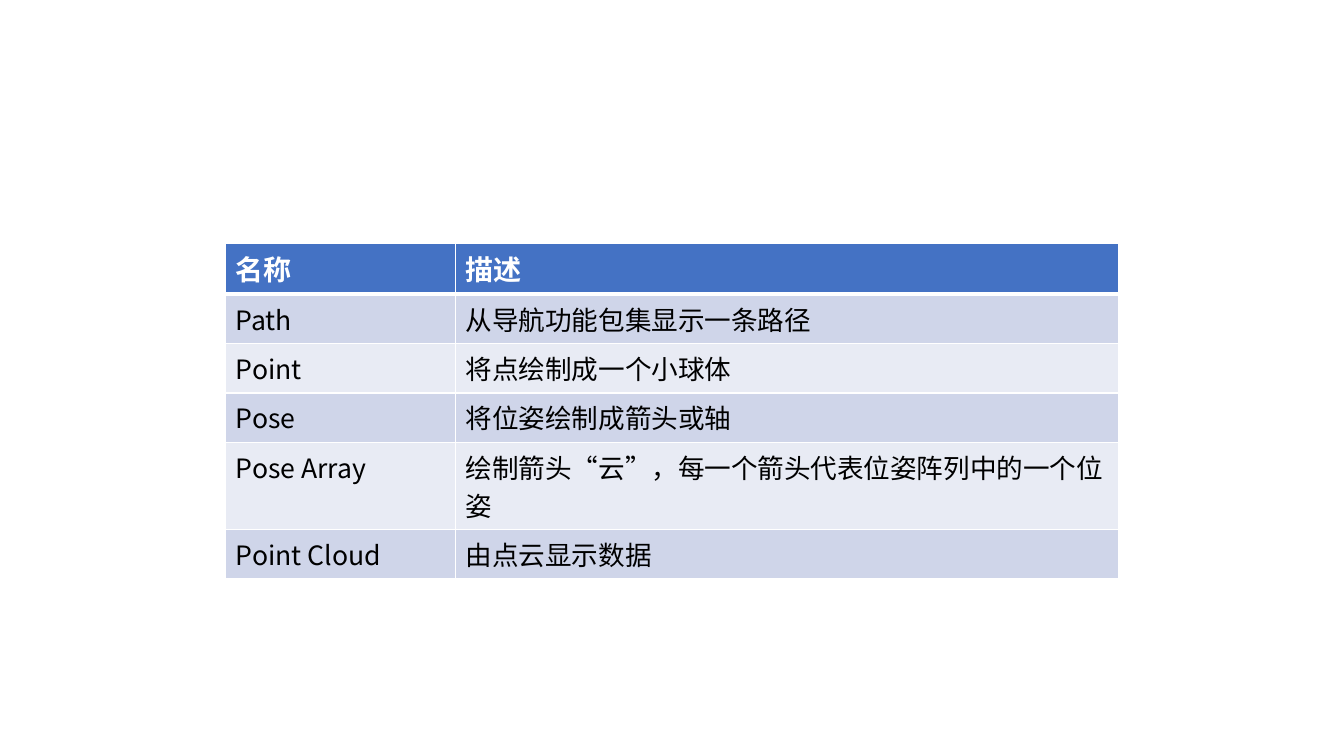
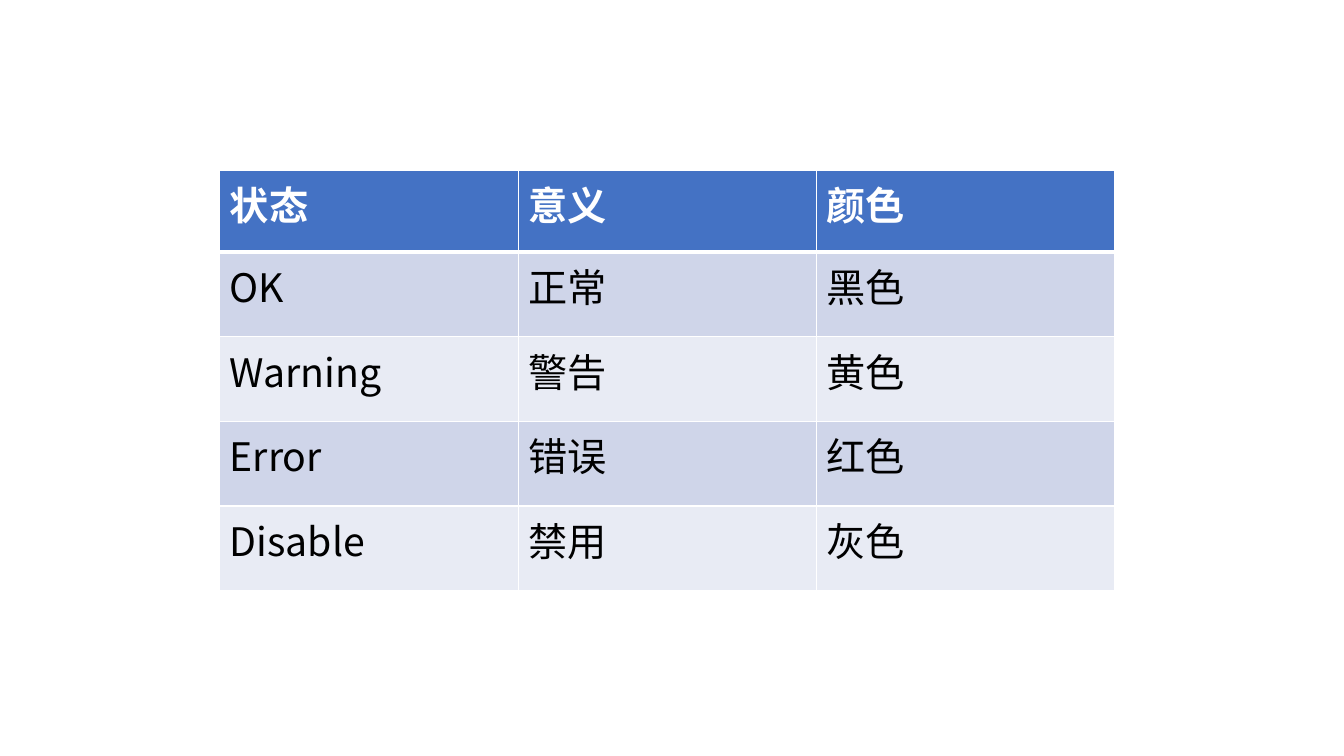
from lxml import etree
from pptx import Presentation
from pptx.dml.color import RGBColor
from pptx.enum.lang import MSO_LANGUAGE_ID
from pptx.oxml.ns import qn
from pptx.util import Inches, Pt

CHINESE = MSO_LANGUAGE_ID.SIMPLIFIED_CHINESE
FONT = "Noto Sans CJK SC"
COLORS = {
    "head": "4472C4",
    "odd": "CFD5E9",
    "even": "E8EBF4",
    "white": "FFFFFF",
    "black": "000000",
}
THIN, THICK = 0.96, 3

TABLES = [
    {
        "left": 2.24,
        "top": 2.41,
        "cols": [2.28, 6.57],
        "heights": [0.51, 0.49, 0.49, 0.49, 0.44, 0.49],
        "sizes": (20, 19),
        "rows": [
            ("名称", "描述"),
            ("Path", "从导航功能包集显示一条路径"),
            ("Point", "将点绘制成一个小球体"),
            ("Pose", "将位姿绘制成箭头或轴"),
            ("Pose Array", "绘制箭头“云”，每一个箭头代表位姿阵列中的一个位姿"),
            ("Point Cloud", "由点云显示数据"),
        ],
    },
    {
        "left": 2.18,
        "top": 1.69,
        "cols": [2.96] * 3,
        "heights": [0.81] + [0.84] * 4,
        "sizes": (28, 28),
        "rows": [
            ("状态", "意义", "颜色"),
            ("OK", "正常", "黑色"),
            ("Warning", "警告", "黄色"),
            ("Error", "错误", "红色"),
            ("Disable", "禁用", "灰色"),
        ],
    },
]


def rgb(name):
    return RGBColor.from_string(COLORS[name])


def write(frame, text, size=19, color="black", bold=False):
    run = frame.paragraphs[0].add_run()
    run.text = text
    font = run.font
    font.size = Pt(size)
    font.bold = bold
    font.name = FONT
    font.language_id = CHINESE
    font.color.rgb = rgb(color)
    latin = font._element.find(qn("a:latin"))
    latin.addnext(etree.Element(qn("a:ea"), typeface=FONT))


def border(cell, **widths):
    props = cell._tc.get_or_add_tcPr()
    for spot, side in enumerate("LRTB"):
        width = str(Pt(widths.get(side, THIN)))
        line = etree.Element(qn("a:ln" + side), w=width)
        fill = etree.SubElement(line, qn("a:solidFill"))
        etree.SubElement(fill, qn("a:srgbClr"), val=COLORS["white"])
        props.insert(spot, line)


def draw(slide, data):
    rows, cols, heights = data["rows"], data["cols"], data["heights"]
    table = slide.shapes.add_table(
        len(rows), len(cols),
        Inches(data["left"]), Inches(data["top"]),
        Inches(sum(cols)), Inches(sum(heights)),
    ).table
    for col, width in zip(table.columns, cols):
        col.width = Inches(width)
    for row, height in zip(table.rows, heights):
        row.height = Inches(height)
    for r, texts in enumerate(rows):
        head = r == 0
        shade = "head" if head else "odd" if r % 2 else "even"
        edges = {"B": THICK} if head else {"T": THICK} if r == 1 else {}
        for c, text in enumerate(texts):
            cell = table.cell(r, c)
            cell.fill.solid()
            cell.fill.fore_color.rgb = rgb(shade)
            border(cell, **edges)
            write(cell.text_frame, text, size=data["sizes"][not head],
                  color="white" if head else "black", bold=head)


deck = Presentation()
deck.slide_width, deck.slide_height = Inches(13.33), Inches(7.5)
blank = deck.slide_layouts[6]
for data in TABLES:
    draw(deck.slides.add_slide(blank), data)
deck.save("out.pptx")
